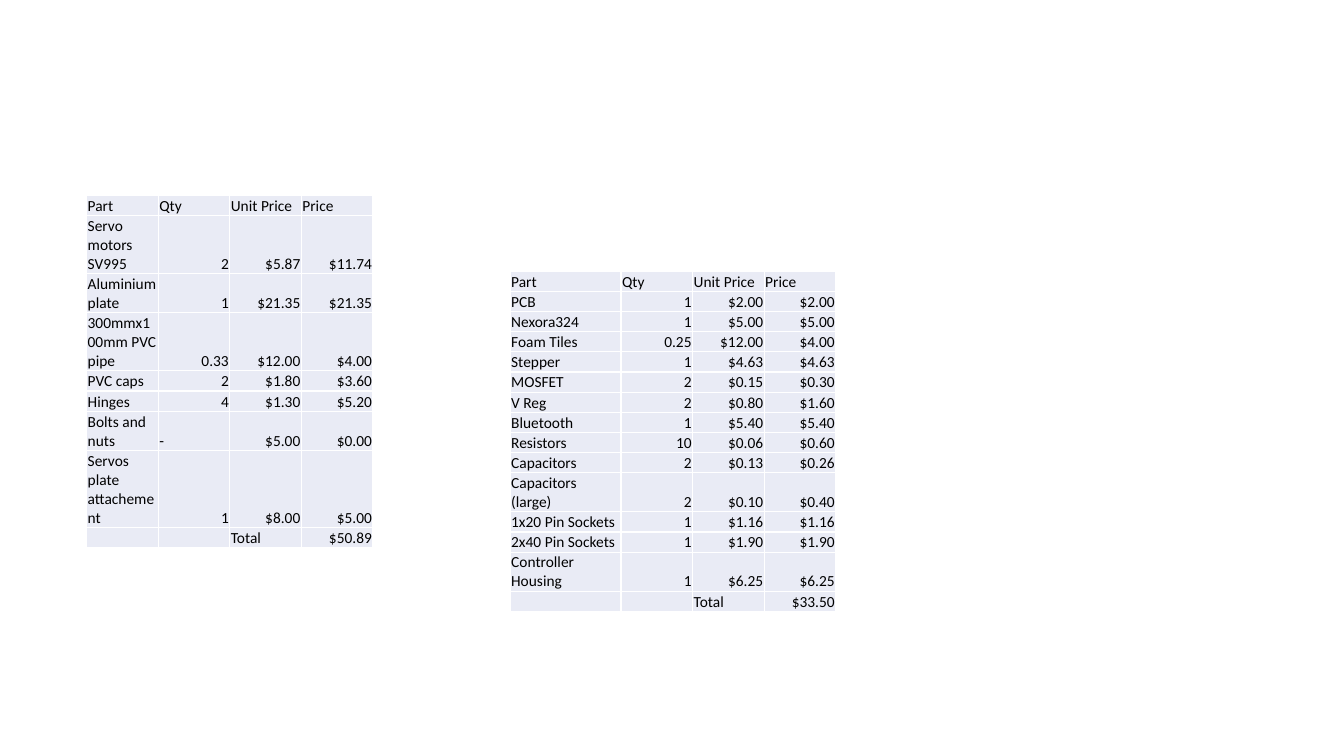
from lxml import etree
from pptx import Presentation
from pptx import util as u
from pptx.dml.color import RGBColor
from pptx.enum import text
from pptx.oxml import ns

COLORS = {"cell": "E9EBF5", "border": "FFFFFF", "ink": "000000"}
HEADINGS = ("Part", "Qty", "Unit Price", "Price")

ELECTRONICS = [
    ("PCB", "1", "$2.00", "$2.00"),
    ("Nexora324", "1", "$5.00", "$5.00"),
    ("Foam Tiles", "0.25", "$12.00", "$4.00"),
    ("Stepper", "1", "$4.63", "$4.63"),
    ("MOSFET", "2", "$0.15", "$0.30"),
    ("V Reg", "2", "$0.80", "$1.60"),
    ("Bluetooth", "1", "$5.40", "$5.40"),
    ("Resistors", "10", "$0.06", "$0.60"),
    ("Capacitors", "2", "$0.13", "$0.26"),
    ("Capacitors (large)", "2", "$0.10", "$0.40"),
    ("1x20 Pin Sockets", "1", "$1.16", "$1.16"),
    ("2x40 Pin Sockets", "1", "$1.90", "$1.90"),
    ("Controller Housing", "1", "$6.25", "$6.25"),
    ("", "", "Total", "$33.50"),
]
MECHANICS = [
    ("Servo motors SV995", "2", "$5.87", "$11.74"),
    ("Aluminium plate", "1", "$21.35", "$21.35"),
    ("300mmx100mm PVC pipe", "0.33", "$12.00", "$4.00"),
    ("PVC caps", "2", "$1.80", "$3.60"),
    ("Hinges", "4", "$1.30", "$5.20"),
    ("Bolts and nuts", "-", "$5.00", "$0.00"),
    ("Servos plate attachement", "1", "$8.00", "$5.00"),
    ("", "", "Total", "$50.89"),
]


class PartsSlide:
    """Holds the slide and the shared style of its price tables."""

    row_height = 0.2
    font_format = {"name": "Calibri", "size": u.Pt(11), "bold": False}
    cell_format = {
        "margin_left": u.Inches(0.01),
        "margin_right": u.Inches(0.01),
        "margin_top": u.Inches(0.01),
        "margin_bottom": 0,
        "vertical_anchor": text.MSO_ANCHOR.BOTTOM,
    }

    def __init__(self, deck):
        self.slide = deck.slides.add_slide(deck.slide_layouts[6])

    def price_table(self, left, top, widths, items):
        rows = [HEADINGS, *items]
        frame = self.slide.shapes.add_table(
            len(rows), len(widths), u.Inches(left), u.Inches(top),
            u.Inches(sum(widths)), u.Inches(self.row_height * len(rows)))
        prices = frame.table
        prices.first_row = prices.horz_banding = False
        for column, width in zip(prices.columns, widths):
            column.width = u.Inches(width)
        for row, values in zip(prices.rows, rows):
            row.height = u.Inches(self.row_height)
            for cell, value in zip(row.cells, values):
                self.price_cell(cell, value)

    def price_cell(self, cell, value):
        for name, setting in self.cell_format.items():
            setattr(cell, name, setting)
        self.borders(cell)
        cell.fill.solid()
        cell.fill.fore_color.rgb = RGBColor.from_string(COLORS["cell"])

        entry = cell.text_frame.paragraphs[0]
        if not value:
            # Keeps an empty cell from stretching its row
            end = etree.SubElement(entry._p, ns.qn("a:endParaRPr"))
            end.set("sz", "1100")
            return
        # Numbers and prices stand at the right
        if value.startswith("$") or value.replace(".", "").isdigit():
            entry.alignment = text.PP_ALIGN.RIGHT
        run = entry.add_run()
        run.text = value
        for name, setting in self.font_format.items():
            setattr(run.font, name, setting)
        run.font.color.rgb = RGBColor.from_string(COLORS["ink"])

    def borders(self, cell):
        properties = cell._tc.get_or_add_tcPr()
        for side in ("lnL", "lnR", "lnT", "lnB"):
            line = etree.SubElement(properties, ns.qn(f"a:{side}"), w=str(u.Pt(1)))
            fill = etree.SubElement(line, ns.qn("a:solidFill"))
            etree.SubElement(fill, ns.qn("a:srgbClr"), val=COLORS["border"])


def main():
    deck = Presentation()
    deck.slide_width, deck.slide_height = u.Inches(13.33), u.Inches(7.5)
    parts = PartsSlide(deck)

    # Electronic parts, right
    parts.price_table(5.06, 2.69, [1.1] + [0.71] * 3, ELECTRONICS)
    # Mechanical parts, left
    parts.price_table(0.86, 1.94, [0.71] * 4, MECHANICS)

    deck.save("out.pptx")


if __name__ == "__main__":
    main()
